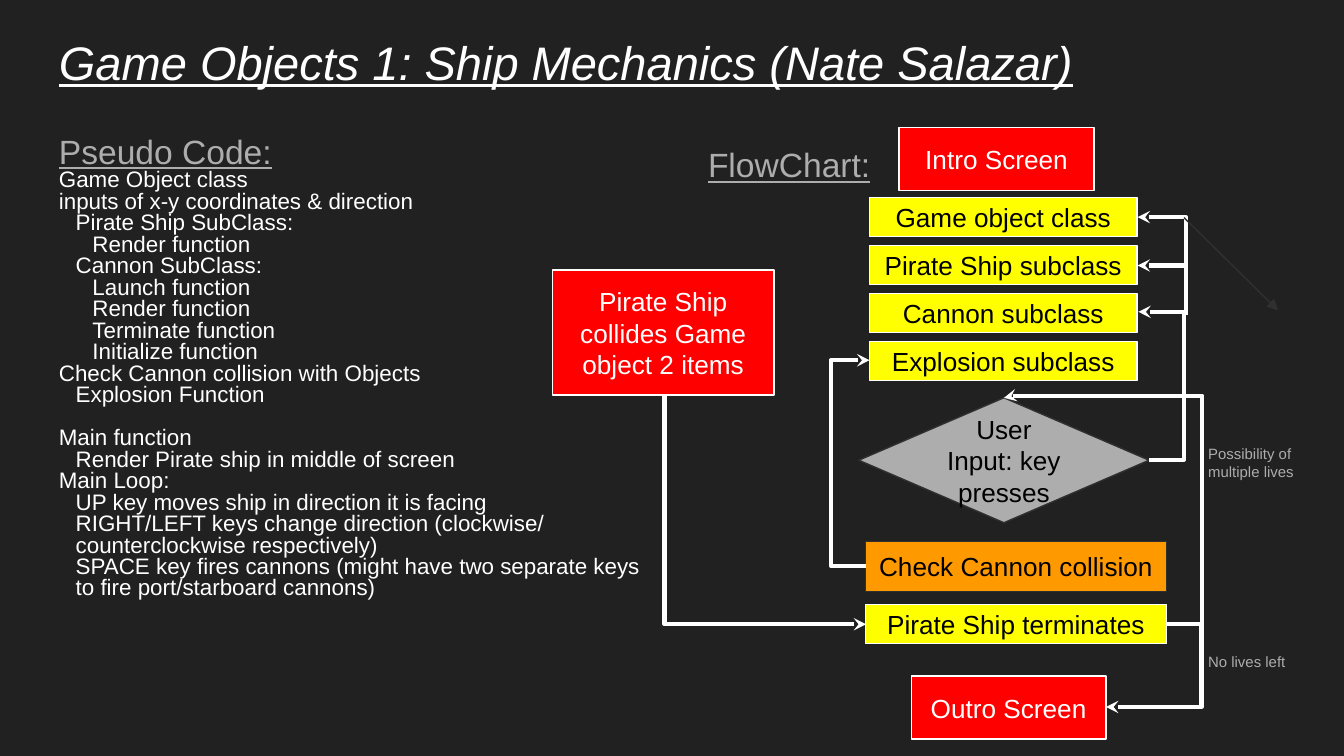
import pptx
import pptx.util
import pptx.dml.color
import pptx.enum.shapes
import pptx.enum.text
import pptx.oxml
import pptx.oxml.ns

Inches = pptx.util.Inches
Pt = pptx.util.Pt
qn = pptx.oxml.ns.qn
shape_kinds = pptx.enum.shapes.MSO_SHAPE
connector_kinds = pptx.enum.shapes.MSO_CONNECTOR

colors = {
    "background": "212121", "white": "FFFFFF", "black": "000000", "gray": "ADADAD",
    "edge": "303030", "red": "FF0000", "yellow": "FFFF00", "orange": "FF9900",
}
rgb = {name: pptx.dml.color.RGBColor.from_string(value) for name, value in colors.items()}

deck = pptx.Presentation()
deck.slide_width = Inches(10)
deck.slide_height = Inches(10 * 9 / 16)
slide = deck.slides.add_slide(deck.slide_layouts[6])
slide.background.fill.solid()
slide.background.fill.fore_color.rgb = rgb["background"]


def write(frame, lines, color, size):
    frame.word_wrap = True
    frame.margin_left = frame.margin_right = Inches(0.1)
    frame.margin_top = frame.margin_bottom = Inches(0.1)
    for index, line in enumerate(lines):
        paragraph = frame.add_paragraph() if index else frame.paragraphs[0]
        paragraph.text = line
        paragraph.font.name = "Arial"
        paragraph.font.size = Pt(size)
        paragraph.font.color.rgb = rgb[color]
    return frame.paragraphs


def style_line(connector, color, width, arrow):
    connector.line.color.rgb = rgb[color]
    connector.line.width = Pt(width)
    properties = connector._element.spPr
    tail = pptx.oxml.parse_xml(f'<a:tailEnd {pptx.oxml.ns.nsdecls("a")} type="{arrow}"/>')
    properties.find(qn("a:ln")).append(tail)
    properties.append(properties.makeelement(qn("a:effectLst"), {}))


pseudo_code = [
    (0, "Pseudo Code:"),
    (0, "Game Object class"),
    (0, "inputs of x-y coordinates & direction"),
    (1, "Pirate Ship SubClass:"),
    (2, "Render function"),
    (1, "Cannon SubClass:"),
    (2, "Launch function"),
    (2, "Render function"),
    (2, "Terminate function"),
    (2, "Initialize function"),
    (0, "Check Cannon collision with Objects"),
    (1, "Explosion Function"),
    (0, "Main function"),
    (1, "Render Pirate ship in middle of screen"),
    (0, "Main Loop:"),
    (1, "UP key moves ship in direction it is facing"),
    (1, "RIGHT/LEFT keys change direction (clockwise/ counterclockwise respectively)"),
    (1, "SPACE key fires cannons (might have two separate keys to fire port/starboard cannons)"),
]

texts = [
    (0.34, 0.15, 9.32, 0.63, ["Game Objects 1: Ship Mechanics (Nate Salazar)"], "white", 25.2),
    (0.34, 0.93, 4.66, 3.74, [line for level, line in pseudo_code], "white", 12),
    (5.17, 0.93, 4.66, 0.54, ["FlowChart:"], "gray", 18),
    (8.89, 3.21, 0.95, 0.47, ["Possibility of multiple lives"], "gray", 8),
    (8.89, 4.79, 0.95, 0.47, ["No lives left"], "gray", 8),
]
written = []
for left, top, width, height, lines, color, size in texts:
    area = slide.shapes.add_textbox(Inches(left), Inches(top), Inches(width), Inches(height))
    written.append(write(area.text_frame, lines, color, size))

title, code_lines, flowchart_heading = written[:3]
title[0].font.italic = True
title[0].font.underline = True
flowchart_heading[0].font.underline = True
flowchart_heading[0].line_spacing = 1.15
flowchart_heading[0].space_after = Pt(12)
for paragraph, (level, line) in zip(code_lines, pseudo_code):
    paragraph.line_spacing = 0.8
    if level:
        paragraph._p.get_or_add_pPr().set("marL", str(Inches(level / 8)))
    if line == "Main function":
        paragraph.space_before = Pt(11.5)
code_lines[0].font.size = Pt(18)
code_lines[0].font.color.rgb = rgb["gray"]
code_lines[0].font.underline = True

boxes = [
    ("intro", "Intro Screen", 6.69, 0.95, 1.45, 0.47, "red", "white", "white"),
    ("outro", "Outro Screen", 6.78, 5.03, 1.45, 0.47, "red", "white", "white"),
    ("input", "User Input: key presses", 6.39, 2.96, 2.16, 0.93, "gray", "edge", "black"),
    ("check", "Check Cannon collision", 6.44, 4.03, 2.24, 0.37, "orange", "edge", "black"),
    ("collides", "Pirate Ship collides Game object 2 items", 4.11, 2.01, 1.65, 0.93, "red", "white", "white"),
    ("terminates", "Pirate Ship terminates", 6.44, 4.5, 2.24, 0.29, "yellow", "white", "black"),
]
classes = ["Game object class", "Pirate Ship subclass", "Cannon subclass", "Explosion subclass"]
class_step = (2.54 - 1.47) / 3
for row, label in enumerate(classes):
    boxes.append((label, label, 6.47, 1.47 + class_step * row, 1.99, 0.29, "yellow", "white", "black"))

steps = {}
for key, label, left, top, width, height, fill, edge, ink in boxes:
    kind = shape_kinds.DIAMOND if key == "input" else shape_kinds.RECTANGLE
    step = slide.shapes.add_shape(kind, Inches(left), Inches(top), Inches(width), Inches(height))
    step.shadow.inherit = False
    step.fill.solid()
    step.fill.fore_color.rgb = rgb[fill]
    step.line.color.rgb = rgb[edge]
    step.line.width = Pt(0.75)
    step.text_frame.vertical_anchor = pptx.enum.text.MSO_ANCHOR.MIDDLE
    write(step.text_frame, [label], ink, 14)[0].alignment = pptx.enum.text.PP_ALIGN.CENTER
    steps[key] = step

flows = [
    ("input", 3, "Cannon subclass", 3, "bentConnector3", 8.47, 2.32, 0.08, 1.1, 180, False, [-3.25]),
    (None, 0, "Pirate Ship subclass", 3, "bentConnector2", 8.46, 1.98, 0.37, 0.36, 90, True, []),
    (None, 0, "Game object class", 3, "bentConnector2", 8.46, 1.62, 0.37, 0.36, 90, True, []),
    ("check", 1, "Explosion subclass", 1, "bentConnector3", 6.44, 2.68, 0.03, 1.53, 180, True, [-8.67]),
    ("collides", 2, "terminates", 1, "bentConnector2", 4.84, 3.04, 1.71, 1.5, 270, True, []),
    ("terminates", 3, "input", 0, "bentConnector4", 7.47, 2.96, 1.21, 1.68, 180, False, [-0.22, 1.01]),
    ("terminates", 3, "outro", 3, "bentConnector3", 8.23, 4.64, 0.45, 0.62, 0, True, [-0.58]),
]
for source, source_side, target, target_side, preset, left, top, width, height, turn, flipped, bends in flows:
    flow = slide.shapes.add_connector(connector_kinds.ELBOW, 0, 0, Inches(1), Inches(1))
    if source:
        flow.begin_connect(steps[source], source_side)
    flow.end_connect(steps[target], target_side)
    flow.left, flow.top = Inches(left), Inches(top)
    flow.width, flow.height = Inches(width), Inches(height)
    placement = flow._element.spPr.find(qn("a:xfrm"))
    placement.set("rot", str(turn * 60000))
    placement.set("flipH", str(int(flipped)))
    placement.set("flipV", "0")
    geometry = flow._element.spPr.find(qn("a:prstGeom"))
    geometry.set("prst", preset)
    guides = geometry.find(qn("a:avLst"))
    for number, bend in enumerate(bends, 1):
        guide = {"name": f"adj{number}", "fmla": f"val {round(bend * 100000)}"}
        guides.append(guides.makeelement(qn("a:gd"), guide))
    style_line(flow, "white", 2.25, "stealth")

faint_arrow = slide.shapes.add_connector(
    connector_kinds.STRAIGHT, Inches(8.81), Inches(1.62), Inches(9.51), Inches(2.31))
style_line(faint_arrow, "edge", 0.75, "triangle")

deck.save("out.pptx")
